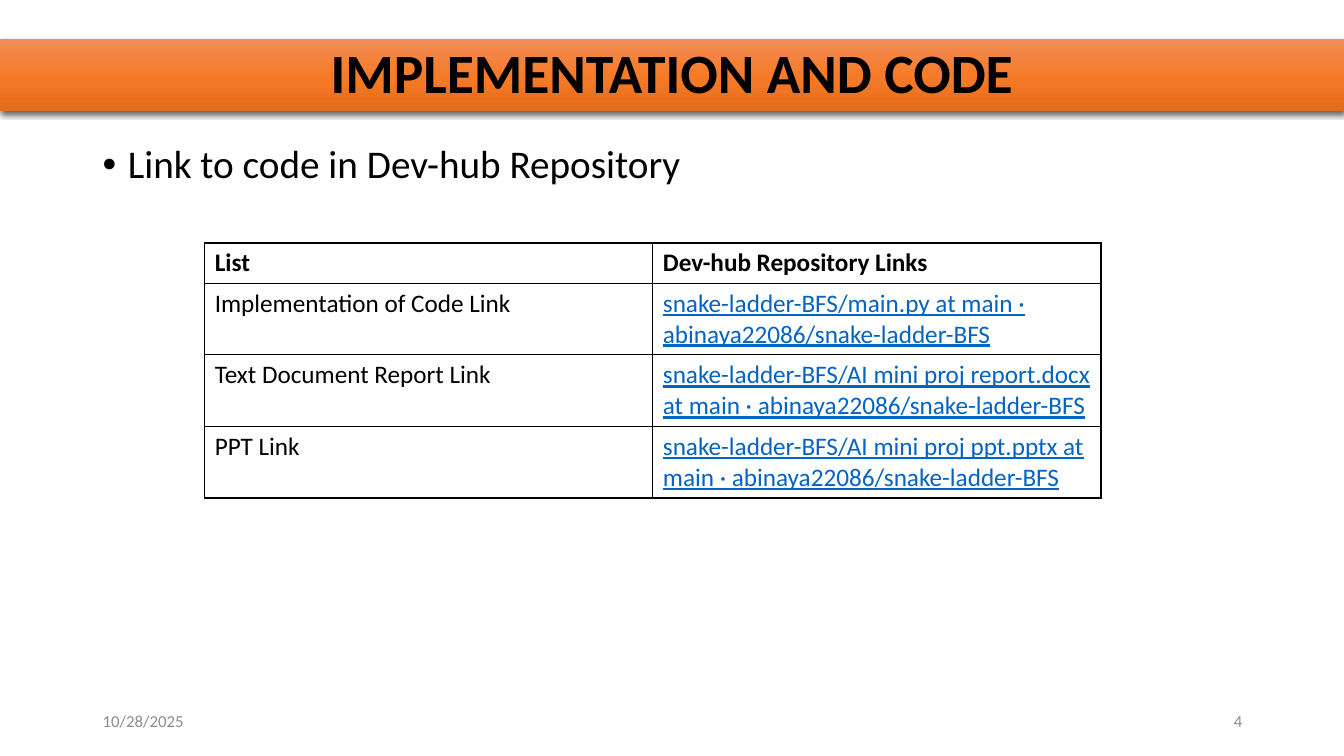
from lxml import etree
from pptx import Presentation
from pptx.dml.color import RGBColor as RGB
from pptx.enum.text import MSO_ANCHOR as Anchor, MSO_AUTO_SIZE as Fit, PP_ALIGN as Align
from pptx.oxml import parse_xml
from pptx.oxml.ns import nsdecls, qn
from pptx.util import Inches, Pt

COLORS = {"ink": "000000", "link": "0563C1", "muted": "8C8C8C",
          "top": "F18C57", "mid": "F67B28", "low": "E56C19"}
NS = nsdecls("a")


def write(frame, text, size, color="ink", align=Align.LEFT, **style):
    par = frame.paragraphs[0]
    par.alignment = align
    run = par.add_run()
    run.text = text
    run.font.color.rgb = RGB.from_string(COLORS[color])
    for name, value in {"name": "Calibri", "size": Pt(size), **style}.items():
        setattr(run.font, name, value)
    return par


def add_text(left, top, width, height, anchor):
    frame = slide.shapes.add_textbox(*map(Inches, (left, top, width, height))).text_frame
    frame.word_wrap = True
    frame.vertical_anchor = anchor
    return frame


prs = Presentation()
prs.slide_width, prs.slide_height = Inches(13.33), Inches(7.5)
slide = prs.slides.add_slide(prs.slide_layouts[5])

# Title band with gradient and shadow
title = slide.shapes.title
title.left, title.top, title.width, title.height = map(Inches, (0, 0.39, 13.33, 0.71))
frame = title.text_frame
frame.auto_size = Fit.NONE
frame.vertical_anchor = Anchor.MIDDLE
par = write(frame, "IMPLEMENTATION AND CODE", 39.6, align=Align.CENTER, bold=True)
par.line_spacing = 0.9
stops = "".join(f'<a:gs pos="{pos}"><a:srgbClr val="{COLORS[name]}"/></a:gs>'
                for pos, name in ((0, "top"), (50000, "mid"), (100000, "low")))
band = title.element.spPr
for xml in (
    f'<a:prstGeom {NS} prst="rect"><a:avLst/></a:prstGeom>',
    f'<a:gradFill {NS} rotWithShape="1"><a:gsLst>{stops}</a:gsLst>'
    '<a:lin ang="5400000" scaled="0"/></a:gradFill>',
    f'<a:effectLst {NS}><a:outerShdw blurRad="57150" dist="19050" dir="5400000" '
    f'algn="ctr" rotWithShape="0"><a:srgbClr val="{COLORS["ink"]}">'
    '<a:alpha val="63000"/></a:srgbClr></a:outerShdw></a:effectLst>',
):
    band.append(parse_xml(xml))

# Bullet line
par = write(add_text(0.92, 1.39, 11.5, 5.37, Anchor.TOP),
            "Link to code in Dev-hub Repository", 28)
par.line_spacing, par.space_before = 0.9, Pt(10)
props = par._p.get_or_add_pPr()
props.set("marL", str(Inches(0.25)))
props.set("indent", str(Inches(-0.25)))
etree.SubElement(props, qn("a:buFont"), typeface="Arial")
etree.SubElement(props, qn("a:buChar"), char="•")

# Table of links
repo = "at main · abinaya22086/snake-ladder-BFS"
rows = [("List", "Dev-hub Repository Links")] + [
    (label, f"snake-ladder-BFS/{file} {repo}") for label, file in (
        ("Implementation of Code Link", "main.py"),
        ("Text Document Report Link", "AI mini proj report.docx"),
        ("PPT Link", "AI mini proj ppt.pptx"))]
table = slide.shapes.add_table(
    len(rows), 2, *map(Inches, (2.03, 2.41, 8.89, 2.53))).table
table.first_row = table.horz_banding = False
for col in table.columns:
    col.width = Inches(4.445)
for r, texts in enumerate(rows):
    table.rows[r].height = Inches(0.71 if r else 0.4)
    for c, text in enumerate(texts):
        cell = table.cell(r, c)
        link = r > 0 and c == 1
        write(cell.text_frame, text, 18, "link" if link else "ink",
              bold=r == 0, underline=link)
        cell.fill.background()
        for i, side in enumerate("LRTB"):
            cell._tc.get_or_add_tcPr().insert(i, parse_xml(
                f'<a:ln{side} {NS} w="12700"><a:solidFill>'
                f'<a:srgbClr val="{COLORS["ink"]}"/></a:solidFill></a:ln{side}>'))

# Date and slide number
for left, text, align in ((0.92, "10/28/2025", Align.LEFT), (9.42, "4", Align.RIGHT)):
    write(add_text(left, 6.95, 3, 0.4, Anchor.MIDDLE), text, 12, "muted", align)

prs.save("out.pptx")
